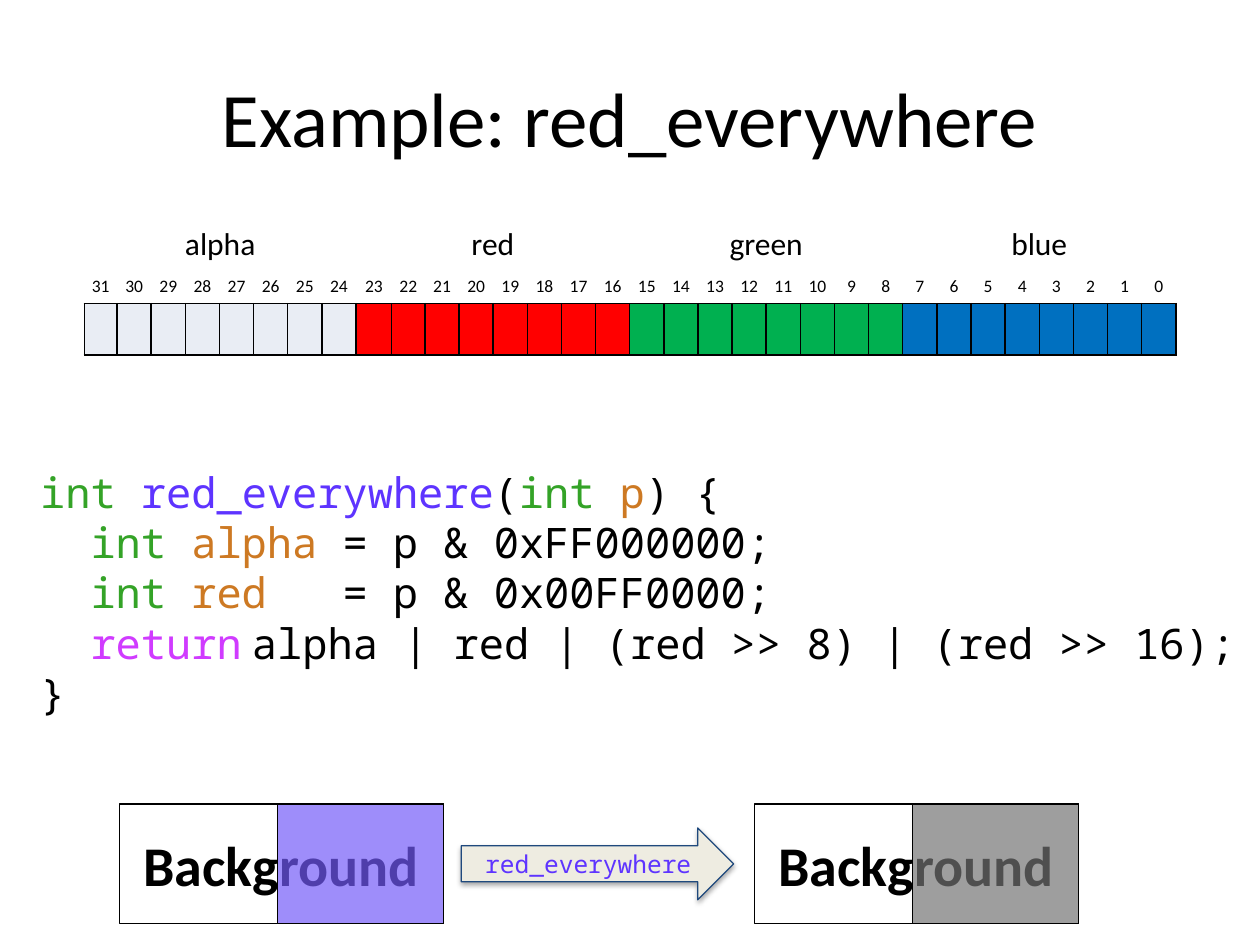
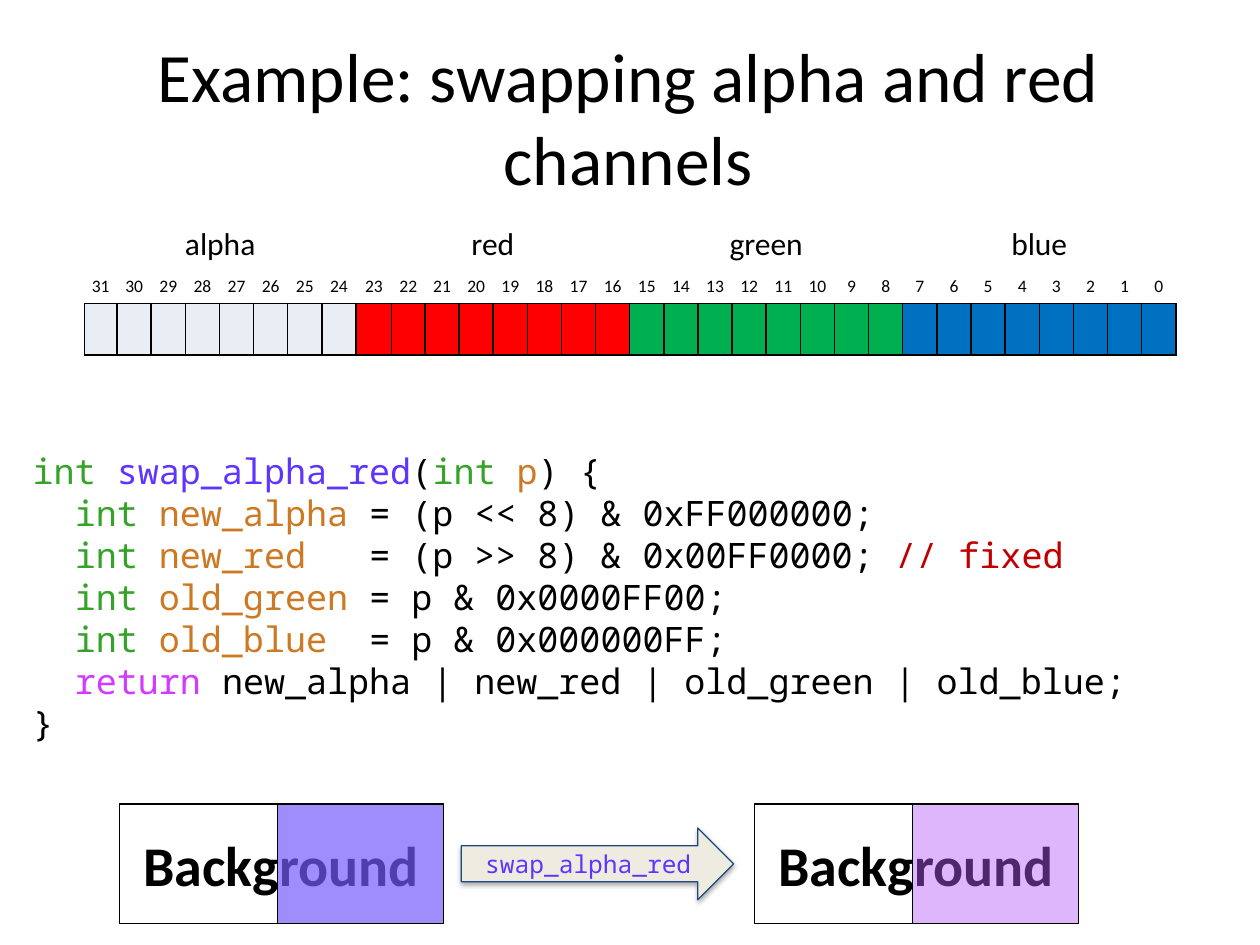
import dataclasses
import itertools

import lxml.etree
import pptx
import pptx.dml.color
import pptx.enum.shapes
import pptx.enum.text
import pptx.oxml.ns
import pptx.util

Cm = pptx.util.Cm
Pt = pptx.util.Pt
qn = pptx.oxml.ns.qn
Align = pptx.enum.text.PP_ALIGN
Anchor = pptx.enum.text.MSO_ANCHOR
Shape = pptx.enum.shapes.MSO_SHAPE


@dataclasses.dataclass(frozen=True)
class Theme:
    sans: str = "Calibri"
    mono: str = "Noto Sans Mono"
    ink: str = "000000"
    type: str = "34A327"
    name: str = "5E34FF"
    var: str = "CD7923"
    key: str = "D03BFF"
    note: str = "C00000"
    sand: str = "EEECE1"
    navy: str = "1F497D"
    tint: str = "735AF9"
    label: float = 18
    bit: float = 10
    card: float = 32
    arrow: float = 14


THEME = Theme()
BANDS = [("alpha", "E9EDF4"), ("red", "FF0000"), ("green", "00B050"), ("blue", "0070C0")]
BITS = 32
SPAN = BITS // len(BANDS)
ODD = {0: 0.66, 8: 0.72, 9: 0.67}
BAR = (1.7, 4.42, 22.02, 2.74)
DEMO = (2.41, 16.21, 19.33, 2.41)


def paint(color):
    return pptx.dml.color.RGBColor.from_string(color)


def style(run, font, size, color, bold=False):
    run.font.name = font
    run.font.size = Pt(size)
    run.font.color.rgb = paint(color)
    run.font.bold = bold


def write(frame, text, font, size, color, bold=False):
    frame.text = text
    frame.vertical_anchor = Anchor.MIDDLE
    para = frame.paragraphs[0]
    para.alignment = Align.CENTER
    style(para.runs[0], font, size, color, bold)


def place(box):
    return [Cm(side) for side in box]


def add_title(slide, box, text, size):
    title = slide.shapes.title
    title.left, title.top, title.width, title.height = place(box)
    write(title.text_frame, text, THEME.sans, size, THEME.ink)


def edge(cell, sides):
    props = cell._tc.get_or_add_tcPr()
    for side in sides:
        line = lxml.etree.SubElement(props, qn("a:ln" + side), w=str(Pt(1)))
        fill = lxml.etree.SubElement(line, qn("a:solidFill"))
        lxml.etree.SubElement(fill, qn("a:srgbClr"), val=THEME.ink)


def add_bits(slide, box):
    table = slide.shapes.add_table(3, BITS, *place(box)).table
    table.first_row = table.horz_banding = False
    for row, high in zip(table.rows, (1.04, 0.66, 1.04)):
        row.height = Cm(high)
    even = (box[2] - sum(ODD.values())) / (BITS - len(ODD))
    for col in range(BITS):
        table.columns[col].width = Cm(ODD.get(col, even))
        label, color = BANDS[col // SPAN]
        head, index, bit = (table.cell(row, col) for row in range(3))
        if col % SPAN == 0:
            head.merge(table.cell(0, col + SPAN - 1))
            write(head.text_frame, label, THEME.sans, THEME.label, THEME.ink)
            head.vertical_anchor = Anchor.TOP
        head.fill.background()
        index.margin_left = index.margin_right = index.margin_top = 0
        index.margin_bottom = Cm(0.13)
        write(index.text_frame, str(BITS - 1 - col), THEME.sans, THEME.bit, THEME.ink)
        index.vertical_anchor = Anchor.BOTTOM
        edge(index, "B")
        index.fill.background()
        edge(bit, "LRTB")
        bit.fill.solid()
        bit.fill.fore_color.rgb = paint(color)


def color_words(line):
    code, mark, note = line.partition("//")
    words = ["".join(group) for _, group in
             itertools.groupby(code, lambda char: char.isalnum() or char == "_")]
    for spot, word in enumerate(words):
        color = {"int": THEME.type, "return": THEME.key}.get(word, THEME.ink)
        if spot > 1 and words[spot - 2] == "int":
            color = THEME.name if words[spot + 1].startswith("(") else THEME.var
        yield word, color
    if mark:
        yield mark + note, THEME.note


def add_code(slide, box, text, size, wrap=True):
    frame = slide.shapes.add_textbox(*place(box)).text_frame
    frame.word_wrap = wrap
    for count, line in enumerate(text.splitlines()):
        para = frame.add_paragraph() if count else frame.paragraphs[0]
        for word, color in color_words(line):
            run = para.add_run()
            run.text = word
            style(run, THEME.mono, size, color)


def add_block(slide, kind, box, line, fill=None, alpha=None):
    block = slide.shapes.add_shape(kind, *place(box))
    block.shadow.inherit = False
    block.line.color.rgb = paint(line)
    block.line.width = Pt(0.75)
    if fill:
        block.fill.solid()
        block.fill.fore_color.rgb = paint(fill)
    else:
        block.fill.background()
    if alpha:
        color = block._element.spPr.find(qn("a:solidFill"))[0]
        lxml.etree.SubElement(color, qn("a:alpha"), val=str(alpha * 1000))
    return block


def add_card(slide, box, tint, alpha):
    left, top, width, height = box
    card = add_block(slide, Shape.RECTANGLE, box, THEME.ink)
    write(card.text_frame, "Background", THEME.sans, THEME.card, THEME.ink, True)
    cover = (left + 3.18, top, width - 3.18, height)
    add_block(slide, Shape.RECTANGLE, cover, THEME.ink, tint, alpha)


def add_shade(shape):
    effects = shape._element.spPr.find(qn("a:effectLst"))
    shade = lxml.etree.SubElement(effects, qn("a:outerShdw"), blurRad=str(Pt(3.1)),
                                  dist=str(Pt(1.8)), dir="5400000", rotWithShape="0")
    color = lxml.etree.SubElement(shade, qn("a:srgbClr"), val=THEME.ink)
    lxml.etree.SubElement(color, qn("a:alpha"), val="35000")


def add_demo(slide, box, name, tint, alpha):
    left, top, width, height = box
    wide = 6.53
    add_card(slide, (left, top, wide, height), THEME.tint, 69)
    add_card(slide, (left + width - wide, top, wide, height), tint, alpha)
    arrow = add_block(slide, Shape.RIGHT_ARROW, (left + 6.89, top + 0.48, 5.49, 1.45),
                      THEME.navy, THEME.sand)
    add_shade(arrow)
    write(arrow.text_frame, name, THEME.mono, THEME.arrow, THEME.name)


def add_slide(deck, title, code, demo):
    slide = deck.slides.add_slide(deck.slide_layouts[5])
    add_title(slide, *title)
    add_bits(slide, BAR)
    add_code(slide, *code)
    add_demo(slide, DEMO, *demo)
    return slide


RED = """int red_everywhere(int p) {
  int alpha = p & 0xFF000000;
  int red   = p & 0x00FF0000;
  return
}"""
TAIL = "alpha | red | (red >> 8) | (red >> 16);"
SWAP = """int swap_alpha_red(int p) {
  int new_alpha = (p << 8) & 0xFF000000;
  int new_red   = (p >> 8) & 0x00FF0000; // fixed
  int old_green = p & 0x0000FF00;
  int old_blue  = p & 0x000000FF;
  return new_alpha | new_red | old_green | old_blue;
}"""


def main():
    deck = pptx.Presentation()
    deck.slide_width, deck.slide_height = Cm(25.4), Cm(19.05)
    slide = add_slide(
        deck,
        ((1.27, 0.76, 22.86, 3.18), "Example: red_everywhere", 44),
        ((0.56, 9.27, 24.43, 5.38), RED, 24),
        ("red_everywhere", "737373", 69))
    add_code(slide, (4.83, 12.32, 20.47, 1.27), TAIL, 24, False)
    add_slide(
        deck,
        ((0.41, 0.76, 24.51, 3.18), "Example: swapping alpha and red channels", 39.6),
        ((0.41, 8.94, 22.58, 6.25), SWAP, 20),
        ("swap_alpha_red", "B35AF9", 44))
    deck.save("out.pptx")


if __name__ == "__main__":
    main()
